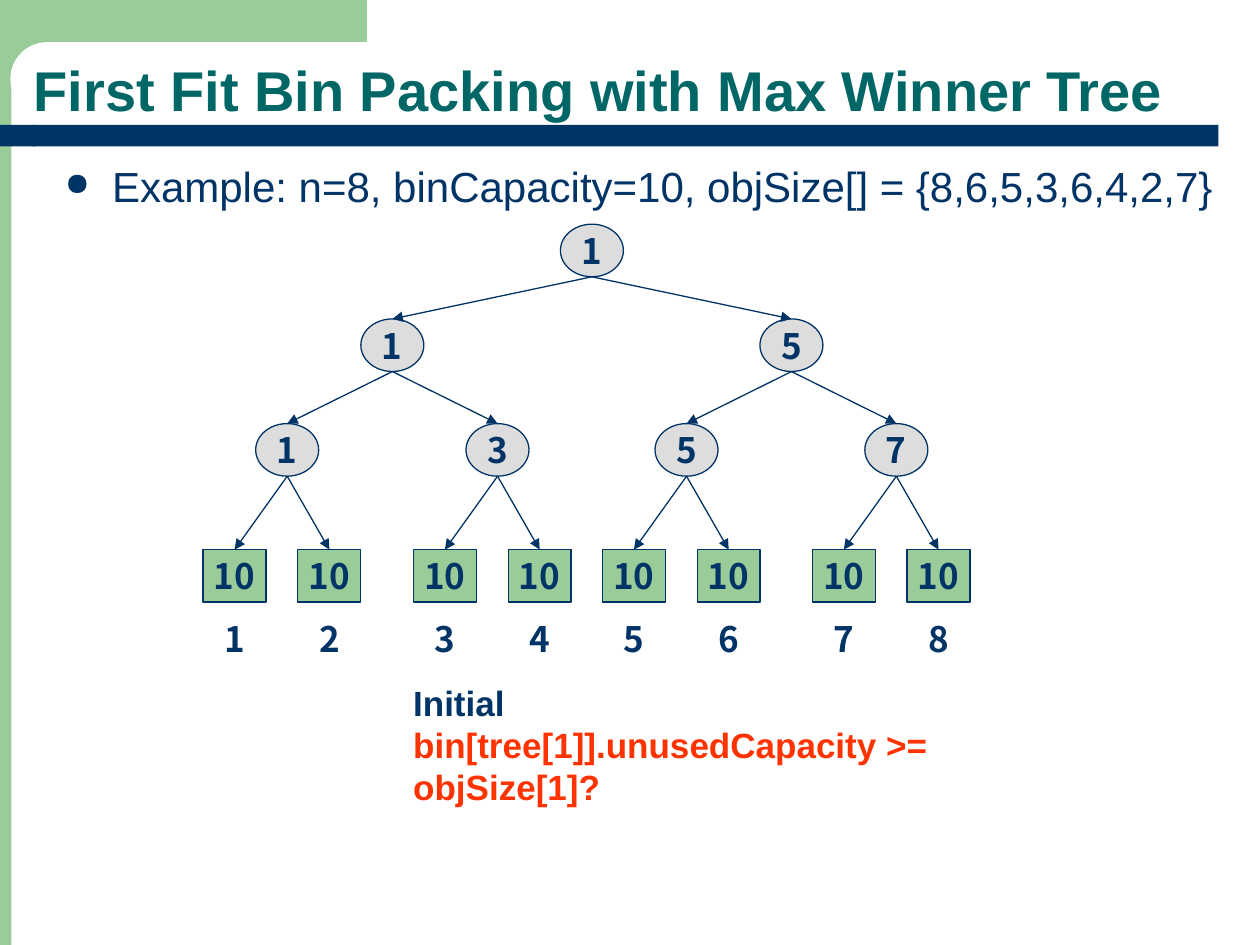
from lxml import etree
from pptx import Presentation
from pptx.dml.color import RGBColor
from pptx.enum.shapes import MSO_CONNECTOR as Connector, MSO_SHAPE as Shape
from pptx.enum.text import MSO_ANCHOR as Anchor, PP_ALIGN as Align
from pptx.oxml.ns import qn
from pptx.util import Cm, Pt

COLORS = {
    "green": "99CC99",
    "navy": "003366",
    "teal": "006666",
    "grey": "DDDDDD",
    "red": "FF3300",
    "white": "FFFFFF",
}
HEADING_FONT, NODE_FONT = "Arial", "Noto Sans CJK KR"
NODE_W, NODE_H = 1.27, 1.06


def rgb(name):
    return RGBColor.from_string(COLORS[name])


class TreeSlide:
    """Holds the slide and draws its elements; all lengths are in cm."""

    def __init__(self, slide):
        self.slide = slide

    def fill_text(self, frame, lines, size, font, bold=True, align=Align.LEFT):
        """Fill a text frame with (text, colour) lines."""
        frame.text = "\n".join(text for text, _ in lines)
        for paragraph, (_, color) in zip(frame.paragraphs, lines):
            paragraph.alignment = align
            for run in paragraph.runs:
                run.font.size, run.font.name, run.font.bold = Pt(size), font, bold
                run.font.color.rgb = rgb(color)

    def block(self, kind, left, top, width, height, fill, outline=None):
        block = self.slide.shapes.add_shape(
            kind, Cm(left), Cm(top), Cm(width), Cm(height))
        block.shadow.inherit = False
        block.fill.solid()
        block.fill.fore_color.rgb = rgb(fill)
        if outline:
            block.line.color.rgb = rgb(outline)
            block.line.width = Pt(0.75)
        else:
            block.line.fill.background()
        return block

    def node(self, kind, center, top, label, fill):
        node = self.block(kind, center - NODE_W / 2, top, NODE_W, NODE_H, fill, "navy")
        frame = node.text_frame
        frame.word_wrap = False
        frame.vertical_anchor = Anchor.MIDDLE
        self.fill_text(frame, [(label, "navy")], 20, NODE_FONT, align=Align.CENTER)

    def arrow(self, x1, y1, x2, y2):
        arrow = self.slide.shapes.add_connector(
            Connector.STRAIGHT, Cm(x1), Cm(y1), Cm(x2), Cm(y2))
        arrow.line.color.rgb = rgb("navy")
        arrow.line.width = Pt(0.75)
        props = arrow._element.spPr
        etree.SubElement(props.find(qn("a:ln")), qn("a:tailEnd"), type="triangle")
        etree.SubElement(props, qn("a:effectLst"))

    def text(self, left, top, width, height, lines, size, font,
             bold=True, wrap=False, anchor=Anchor.TOP):
        box = self.slide.shapes.add_textbox(Cm(left), Cm(top), Cm(width), Cm(height))
        frame = box.text_frame
        frame.word_wrap = wrap
        frame.vertical_anchor = anchor
        self.fill_text(frame, lines, size, font, bold)
        return frame

    def bullet(self, paragraph, indent):
        props = paragraph._p.get_or_add_pPr()
        props.set("marL", str(Cm(indent)))
        props.set("indent", str(-Cm(indent)))
        color = etree.SubElement(props, qn("a:buClr"))
        etree.SubElement(color, qn("a:srgbClr"), val=COLORS["navy"])
        etree.SubElement(props, qn("a:buSzPct"), val="75000")
        etree.SubElement(props, qn("a:buChar"), char="●")


def main():
    deck = Presentation()
    deck.slide_width, deck.slide_height = Cm(25.4), Cm(19.05)
    page = TreeSlide(deck.slides.add_slide(deck.slide_layouts[6]))

    # Green frame with a rounded inner corner
    page.block(Shape.RECTANGLE, -1.47, 0, 1.7, 19.05, "green")
    page.block(Shape.RECTANGLE, -0.43, 0, 7.83, 1.48, "green")
    corner = page.block(Shape.ROUNDED_RECTANGLE, 0.21, 0.85, 14.18, 1.48, "white")
    corner.adjustments[0] = 0.5

    # Navy rule under the title
    rule = page.block(Shape.ROUNDED_RECTANGLE, 0.66, 2.52, 23.9, 0.43, "navy")
    rule.adjustments[0] = 0
    rule_end = page.block(Shape.FLOWCHART_DELAY, -0.64, 2.52, 1.35, 0.43, "navy")
    rule_end._element.spPr.find(qn("a:xfrm")).set("flipH", "1")

    # Title and example
    title = page.text(0.43, 0.92, 23.92, 1.7,
                      [("First Fit Bin Packing with Max Winner Tree", "teal")],
                      32, HEADING_FONT, wrap=True, anchor=Anchor.BOTTOM)
    title.paragraphs[0].line_spacing = 0.9
    example = page.text(
        1.06, 3.12, 23.7, 15.09,
        [("Example: n=8, binCapacity=10, objSize[] = {8,6,5,3,6,4,2,7}", "navy")],
        24, HEADING_FONT, bold=False, wrap=True)
    page.bullet(example.paragraphs[0], 0.95)

    # Tree levels from the root down; upper parents sit midway over their children
    level_tops = [4.52, 6.43, 8.54, 11.08]
    winners = ["1", "15", "1357"]
    lower = [5.79, 10.03, 13.84, 18.07]
    bins = [x + shift for x in lower for shift in (-1.06, 0.85)]
    middle = [(a + b) / 2 for a, b in zip(lower[::2], lower[1::2])]
    levels = [[sum(middle) / 2], middle, lower, bins]

    for centers, top, labels in zip(levels, level_tops, winners):
        for center, label in zip(centers, labels):
            page.node(Shape.OVAL, center, top, label, "grey")
    for center in bins:
        page.node(Shape.RECTANGLE, center, level_tops[-1], "10", "green")

    # Arrows from each parent to its two children
    for depth in range(len(levels) - 1):
        for i, child in enumerate(levels[depth + 1]):
            page.arrow(levels[depth][i // 2], level_tops[depth] + NODE_H,
                       child, level_tops[depth + 1])

    # Bin numbers
    for number, center in enumerate(bins, start=1):
        page.text(center - 0.45, 12.32, 0.92, 1.11, [(str(number), "navy")],
                  20, NODE_FONT)

    # Current step
    page.text(8.08, 13.61, 14.83, 1.96,
              [("Initial", "navy"),
               ("bin[tree[1]].unusedCapacity >= objSize[1]?", "red")],
              20, HEADING_FONT)

    deck.save("out.pptx")


if __name__ == "__main__":
    main()
